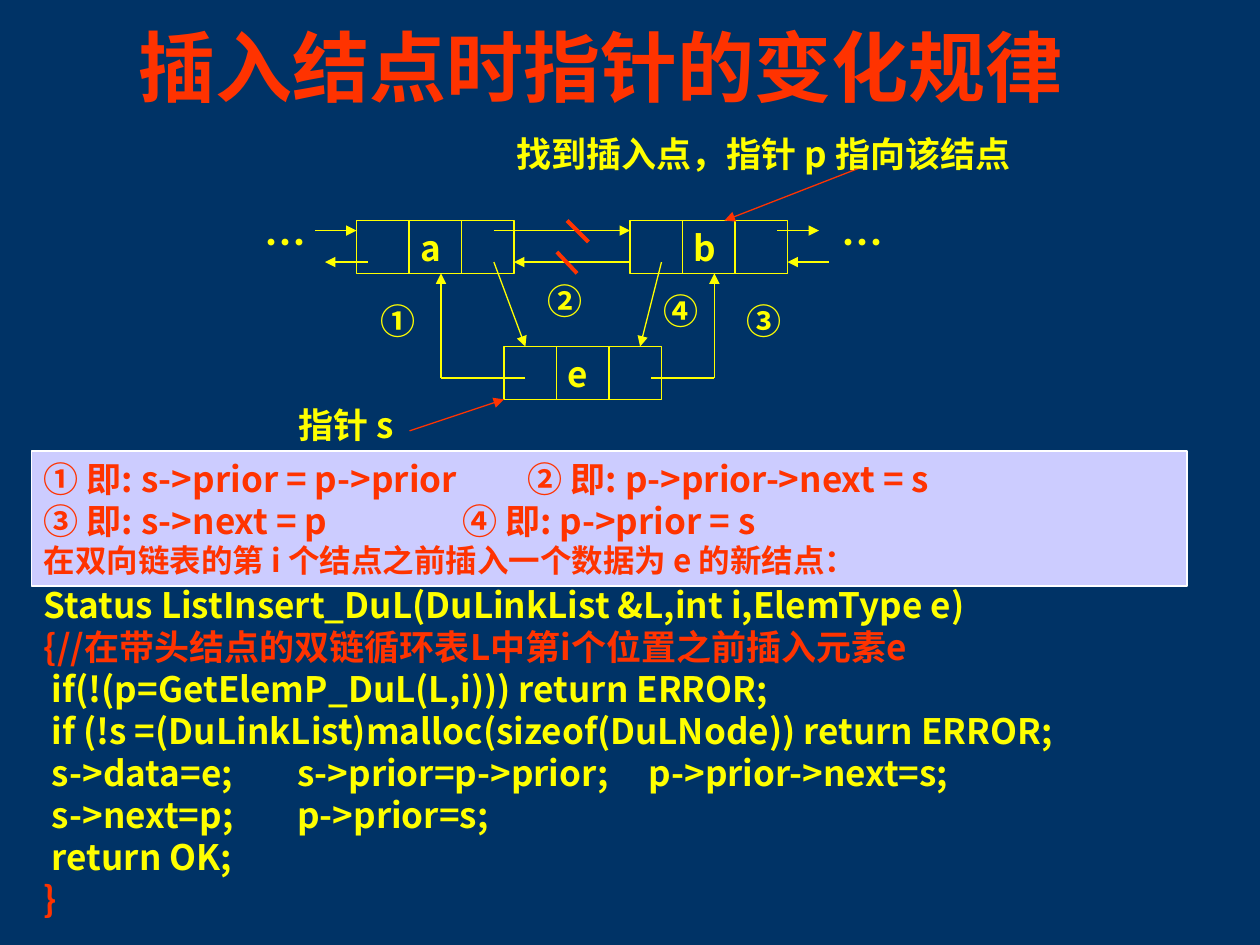
from dataclasses import dataclass

from lxml import etree
from pptx import Presentation
from pptx.dml.color import RGBColor
from pptx.enum.shapes import MSO_CONNECTOR, MSO_SHAPE
from pptx.enum.text import MSO_ANCHOR
from pptx.oxml.ns import qn
from pptx.util import Inches, Pt

STRAIGHT = MSO_CONNECTOR.STRAIGHT
RECTANGLE = MSO_SHAPE.RECTANGLE
TOP, MIDDLE = MSO_ANCHOR.TOP, MSO_ANCHOR.MIDDLE


@dataclass(frozen=True)
class Theme:
    background: RGBColor = RGBColor(0x00, 0x33, 0x66)
    yellow: RGBColor = RGBColor(0xFF, 0xFF, 0x00)
    red: RGBColor = RGBColor(0xFF, 0x33, 0x00)
    panel: RGBColor = RGBColor(0xCC, 0xCC, 0xFF)
    white: RGBColor = RGBColor(0xFF, 0xFF, 0xFF)
    font: str = "Noto Sans CJK SC"
    title: int = 44
    ellipsis: int = 24
    body: int = 20
    note: int = 18
    leading: float = 1.2
    thin: float = 0.75
    medium: float = 1
    thick: float = 2.25


THEME = Theme()
NODE_WIDTH, NODE_HEIGHT = 1.25, 0.42


@dataclass(frozen=True)
class Line:
    text: str
    color: RGBColor = THEME.yellow
    size: int = THEME.body
    tabs: tuple[float, ...] = ()


@dataclass(frozen=True)
class Label:
    left: float
    top: float
    width: float
    height: float
    line: Line


@dataclass(frozen=True)
class Node:
    left: float
    top: float
    data: str


@dataclass(frozen=True)
class Link:
    start: tuple[float, float]
    end: tuple[float, float]
    color: RGBColor = THEME.yellow
    weight: float = THEME.thin
    arrow: bool = True


NODES = [Node(2.83, 1.75, "a"), Node(5, 1.75, "b"), Node(4, 2.75, "e")]

LINKS = [
    # next pointers
    Link((2.5, 1.83), (2.83, 1.83), weight=THEME.medium),
    Link((3.92, 1.83), (5, 1.83), weight=THEME.medium),
    Link((6.17, 1.83), (6.5, 1.83), weight=THEME.medium),
    # prior pointers
    Link((2.92, 2.08), (2.58, 2.08)),
    Link((5, 2.08), (4.08, 2.08)),
    Link((6.58, 2.08), (6.25, 2.08)),
    # new pointers to and from e
    Link((4.17, 3), (3.5, 3), arrow=False),
    Link((3.5, 3), (3.5, 2.17)),
    Link((3.92, 2.08), (4.17, 2.75)),
    Link((5.17, 3), (5.67, 3), arrow=False),
    Link((5.67, 3), (5.67, 2.17)),
    Link((5.25, 2.08), (5.08, 2.75)),
    # cuts through the old pointers
    Link((4.5, 1.75), (4.67, 1.92), THEME.red, THEME.thick, False),
    Link((4.42, 2), (4.58, 2.17), THEME.red, THEME.thick, False),
    # where p and s point
    Link((6.83, 1.33), (5.75, 1.75), THEME.red),
    Link((3.25, 3.42), (4, 3.17), THEME.red),
]

LABELS = [
    Label(2, 1.67, 0.58, 0.5, Line("…", size=THEME.ellipsis)),
    Label(6.58, 1.67, 0.58, 0.5, Line("…", size=THEME.ellipsis)),
    Label(2.92, 2.33, 0.5, 0.44, Line("①")),
    Label(4.25, 2.17, 0.58, 0.44, Line("②")),
    Label(5.83, 2.33, 0.5, 0.44, Line("③")),
    Label(5.17, 2.25, 0.58, 0.44, Line("④")),
    Label(2.27, 3.15, 1.17, 0.44, Line("指针 s")),
    Label(4, 1, 4.67, 0.44, Line("找到插入点，指针 p 指向该结点")),
]

RULES = [
    Line("① 即: s->prior = p->prior\t② 即: p->prior->next = s", THEME.red, tabs=(3.84,)),
    Line("③ 即: s->next = p\t④ 即: p->prior = s", THEME.red, tabs=(3.32,)),
    Line("在双向链表的第 i 个结点之前插入一个数据为 e 的新结点：", THEME.red, THEME.note),
]

CODE_TABS = (2.01, 4.8)
CODE = [
    Line("Status ListInsert_DuL(DuLinkList &L,int i,ElemType e)"),
    Line("{//在带头结点的双链循环表L中第i个位置之前插入元素e", THEME.red),
    Line(" if(!(p=GetElemP_DuL(L,i))) return ERROR;"),
    Line(" if (!s =(DuLinkList)malloc(sizeof(DuLNode)) return ERROR;"),
    Line(" s->data=e;\ts->prior=p->prior;\tp->prior->next=s;", tabs=CODE_TABS),
    Line(" s->next=p;\tp->prior=s;", tabs=CODE_TABS),
    Line(" return OK;"),
    Line("}", THEME.red),
]


def write_lines(frame, lines: list[Line], anchor=TOP) -> None:
    frame.word_wrap = True
    frame.vertical_anchor = anchor
    for index, line in enumerate(lines):
        paragraph = frame.paragraphs[0] if index == 0 else frame.add_paragraph()
        paragraph.text = line.text
        paragraph.line_spacing = Pt(line.size * THEME.leading)
        properties = paragraph._p.get_or_add_pPr()
        properties.set("algn", "l")
        if line.tabs:
            stops = etree.SubElement(properties, qn("a:tabLst"))
            for position in line.tabs:
                etree.SubElement(stops, qn("a:tab"), pos=str(Inches(position)), algn="l")
        font = paragraph.font
        font.size, font.bold, font.name = Pt(line.size), True, THEME.font
        font.color.rgb = line.color
        etree.SubElement(font._element, qn("a:ea"), typeface=THEME.font)


def add_text(slide, left: float, top: float, width: float, height: float,
             lines: list[Line], anchor=TOP) -> None:
    box = slide.shapes.add_textbox(Inches(left), Inches(top), Inches(width), Inches(height))
    write_lines(box.text_frame, lines, anchor)


def add_rectangle(slide, left: float, top: float, width: float, height: float,
                  outline: RGBColor, weight: float):
    rectangle = slide.shapes.add_shape(
        RECTANGLE, Inches(left), Inches(top), Inches(width), Inches(height))
    rectangle.shadow.inherit = False
    rectangle.fill.background()
    rectangle.line.color.rgb = outline
    rectangle.line.width = Pt(weight)
    return rectangle


def add_link(slide, link: Link) -> None:
    connector = slide.shapes.add_connector(
        STRAIGHT, *(Inches(value) for value in link.start + link.end))
    connector.line.color.rgb = link.color
    connector.line.width = Pt(link.weight)
    if link.arrow:
        etree.SubElement(connector.line._get_or_add_ln(), qn("a:tailEnd"), type="triangle")
    etree.SubElement(connector._element.spPr, qn("a:effectLst"))


def add_node(slide, node: Node) -> None:
    """Draw a list node: prior, data and next cells of equal width."""
    add_rectangle(slide, node.left, node.top, NODE_WIDTH, NODE_HEIGHT, THEME.yellow, THEME.thin)
    cell = NODE_WIDTH / 3
    for divider in (node.left + cell, node.left + 2 * cell):
        add_link(slide, Link((divider, node.top), (divider, node.top + NODE_HEIGHT), arrow=False))
    add_text(slide, node.left + 0.41, node.top, 0.37, 0.44, [Line(node.data)])


def main() -> None:
    presentation = Presentation()
    presentation.slide_width, presentation.slide_height = Inches(10), Inches(7.5)
    slide = presentation.slides.add_slide(presentation.slide_layouts[6])
    slide.background.fill.solid()
    slide.background.fill.fore_color.rgb = THEME.background

    title = Line("插入结点时指针的变化规律", THEME.red, THEME.title)
    add_text(slide, 1, 0.06, 8.5, 0.92, [title], MIDDLE)
    for node in NODES:
        add_node(slide, node)
    for link in LINKS:
        add_link(slide, link)
    for label in LABELS:
        add_text(slide, label.left, label.top, label.width, label.height, [label.line])

    panel = add_rectangle(slide, 0.25, 3.58, 9.17, 1.07, THEME.white, THEME.medium)
    panel.fill.solid()
    panel.fill.fore_color.rgb = THEME.panel
    write_lines(panel.text_frame, RULES)
    add_text(slide, 0.25, 4.58, 8.92, 2.77, CODE)
    presentation.save("out.pptx")


if __name__ == "__main__":
    main()
